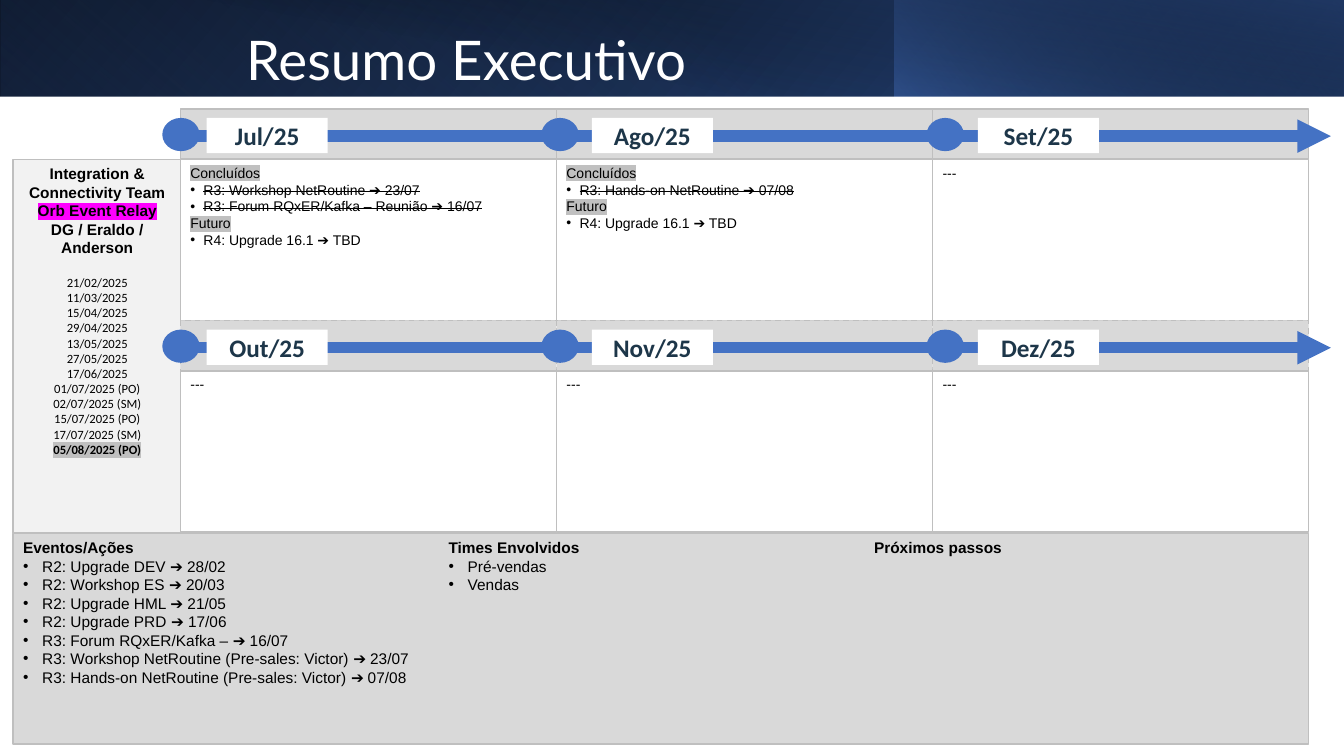
from lxml import etree
from pptx import Presentation
from pptx import util as u
from pptx.dml.color import RGBColor
from pptx.enum import dml, shapes, text
from pptx.oxml.ns import qn

BLACK = RGBColor(0x00, 0x00, 0x00)
WHITE = RGBColor(0xFF, 0xFF, 0xFF)
BLUE = RGBColor(0x44, 0x72, 0xC4)
MID_BLUE = RGBColor(0x2F, 0x55, 0x97)
NAVY = RGBColor(0x20, 0x38, 0x64)
MONTH_INK = RGBColor(0x1D, 0x36, 0x49)
PANEL = RGBColor(0xD9, 0xD9, 0xD9)
SIDEBAR = RGBColor(0xF2, 0xF2, 0xF2)
BORDER = RGBColor(0xBF, 0xBF, 0xBF)
SILVER = RGBColor(0xC0, 0xC0, 0xC0)
MAGENTA = RGBColor(0xFF, 0x00, 0xFF)

RECTANGLE = shapes.MSO_SHAPE.RECTANGLE
OVAL = shapes.MSO_SHAPE.OVAL
CENTER = text.PP_ALIGN.CENTER
JUSTIFY = text.PP_ALIGN.JUSTIFY

HEADER_BANDS = [
    ((0, 0, 13.33, 1.74), 140, 0, True, [(0, BLACK, 100), (100, MID_BLUE, 100)]),
    ((0, 0, 8.88, 1.74), 230, 180, True, [(20, BLUE, 0), (100, NAVY, 55)]),
    ((8.87, 0, 4.46, 1.74), 220, 0, True, [(0, BLUE, 66), (100, BLACK, 30)]),
    ((0.5, 0, 12.83, 1.75), 280, 0, False, [(50, BLACK, 0), (99, NAVY, 52)]),
]
TEAM = [
    ("Integration &", None),
    ("Connectivity Team", None),
    ("Orb Event Relay", MAGENTA),
    ("DG / Eraldo / Anderson", None),
]
MEETINGS = [
    "21/02/2025", "11/03/2025", "15/04/2025", "29/04/2025", "13/05/2025", "27/05/2025",
    "17/06/2025", "01/07/2025 (PO)", "02/07/2025 (SM)", "15/07/2025 (PO)",
    "17/07/2025 (SM)", "05/08/2025 (PO)",
]
UPGRADE = "R4: Upgrade 16.1 ➔ TBD"
QUARTERS = [
    [
        ("Jul/25", ["R3: Workshop NetRoutine ➔ 23/07",
                    "R3: Forum RQxER/Kafka – Reunião ➔ 16/07"], [UPGRADE]),
        ("Ago/25", ["R3: Hands-on NetRoutine ➔ 07/08"], [UPGRADE]),
        ("Set/25", [], []),
    ],
    [("Out/25", [], []), ("Nov/25", [], []), ("Dez/25", [], [])],
]
SUMMARY = [
    ("Eventos/Ações", [
        "R2: Upgrade DEV ➔ 28/02",
        "R2: Workshop ES ➔ 20/03",
        "R2: Upgrade HML ➔ 21/05",
        "R2: Upgrade PRD ➔ 17/06",
        "R3: Forum RQxER/Kafka – ➔ 16/07",
        "R3: Workshop NetRoutine (Pre-sales: Victor) ➔ 23/07",
        "R3: Hands-on NetRoutine (Pre-sales: Victor) ➔ 07/08",
    ]),
    ("Times Envolvidos", ["Pré-vendas", "Vendas"]),
    ("Próximos passos", []),
]
COLUMN_LEFT, COLUMN_WIDTH = 1.79, 3.73
DOT_LEFTS = [1.61, 5.37, 9.19]
LABEL_LEFTS = [2.05, 5.87, 9.7]


class Board:
    """Draws the elements of the roadmap on one slide in a shared style."""

    def __init__(self, presentation):
        self.slide = presentation.slides.add_slide(presentation.slide_layouts[5])

    def shape(self, kind, box, fill=None, line=None, dashed=False):
        shape = self.slide.shapes.add_shape(kind, *map(u.Inches, box))
        shape.shadow.inherit = False
        if fill is not None:
            shape.fill.solid()
            shape.fill.fore_color.rgb = fill
        if line is None:
            shape.line.fill.background()
        else:
            shape.line.color.rgb = line
            shape.line.width = u.Pt(1)
            if dashed:
                shape.line.dash_style = dml.MSO_LINE.DASH
        frame = shape.text_frame
        frame.word_wrap = True
        frame.vertical_anchor = text.MSO_ANCHOR.TOP
        return shape

    def gradient(self, box, angle, rotation, flipped, stops):
        shape = self.shape(RECTANGLE, box)
        shape.rotation = rotation
        properties = shape._element.spPr
        if flipped:
            properties.find(qn("a:xfrm")).set("flipH", "1")
        fill = etree.Element(qn("a:gradFill"), rotWithShape="1")
        stop_list = etree.SubElement(fill, qn("a:gsLst"))
        for position, color, opacity in stops:
            stop = etree.SubElement(stop_list, qn("a:gs"), pos=str(position * 1000))
            tint = etree.SubElement(stop, qn("a:srgbClr"), val=str(color))
            etree.SubElement(tint, qn("a:alpha"), val=str(opacity * 1000))
        etree.SubElement(fill, qn("a:lin"), ang=str(angle * 60000), scaled="0")
        properties.find(qn("a:prstGeom")).addnext(fill)

    def textbox(self, box):
        shape = self.slide.shapes.add_textbox(*map(u.Inches, box))
        shape.text_frame.word_wrap = True
        return shape

    def title(self, words, box):
        shape = self.slide.shapes.title
        shape.left, shape.top, shape.width, shape.height = map(u.Inches, box)
        self.slide.shapes._spTree.append(shape._element)
        frame = shape.text_frame
        frame.auto_size = text.MSO_AUTO_SIZE.NONE
        frame.vertical_anchor = text.MSO_ANCHOR.MIDDLE
        paragraph = self.paragraph(shape, words, 39, text.PP_ALIGN.LEFT, "Lato", WHITE)
        paragraph.line_spacing = 0.8

    def paragraph(self, shape, words, size, align=JUSTIFY, font="Arial", color=BLACK,
                  bold=False, highlight=None, struck=False, indent=0):
        frame = shape.text_frame
        first = frame.paragraphs[0]
        paragraph = frame.add_paragraph() if first.runs else first
        paragraph.alignment = align
        if indent:
            properties = paragraph._p.get_or_add_pPr()
            properties.set("marL", str(u.Inches(indent)))
            properties.set("indent", str(-u.Inches(indent)))
            etree.SubElement(properties, qn("a:buFont"), typeface="Arial")
            etree.SubElement(properties, qn("a:buChar"), char="•")
        run = paragraph.add_run()
        run.text = words
        run.font.size = u.Pt(size)
        run.font.bold = bold
        run.font.color.rgb = color
        properties = run._r.get_or_add_rPr()
        if struck:
            properties.set("strike", "sngStrike")
        if highlight is not None:
            marker = etree.SubElement(properties, qn("a:highlight"))
            etree.SubElement(marker, qn("a:srgbClr"), val=str(highlight))
        run.font.name = font
        return paragraph

    def arrow(self, left, right, y):
        line = self.slide.shapes.add_connector(
            shapes.MSO_CONNECTOR.STRAIGHT,
            u.Inches(left), u.Inches(y), u.Inches(right), u.Inches(y))
        line.line.color.rgb = BLUE
        line.line.width = u.Pt(8)
        etree.SubElement(line.line._get_or_add_ln(), qn("a:tailEnd"), type="triangle")
        etree.SubElement(line._element.spPr, qn("a:effectLst"))

    def month(self, box, done, future):
        cell = self.shape(RECTANGLE, box, WHITE, BORDER)
        for heading, items, struck in (("Concluídos", done, True), ("Futuro", future, False)):
            if items:
                self.paragraph(cell, heading, 10, highlight=SILVER)
            for item in items:
                self.paragraph(cell, item, 10, struck=struck, indent=0.13)
        if not done and not future:
            self.paragraph(cell, "---", 10)

    def quarter(self, top, months, dashed):
        lefts = [COLUMN_LEFT + COLUMN_WIDTH * column for column in range(len(months))]
        for left in lefts:
            self.shape(RECTANGLE, (left, top, COLUMN_WIDTH, 0.5), PANEL, BORDER, dashed)
        for left, (_, done, future) in zip(lefts, months):
            self.month((left, top + 0.5, COLUMN_WIDTH, 1.6), done, future)
        self.arrow(COLUMN_LEFT, 13.2, top + 0.27)
        for dot_left, label_left, (name, _, _) in zip(DOT_LEFTS, LABEL_LEFTS, months):
            self.shape(OVAL, (dot_left, top + 0.09, 0.37, 0.33), BLUE)
            label = self.shape(RECTANGLE, (label_left, top + 0.09, 1.2, 0.35), WHITE)
            label.text_frame.vertical_anchor = text.MSO_ANCHOR.MIDDLE
            self.paragraph(label, name, 18, CENTER, "Calibri", MONTH_INK, bold=True)


def main():
    presentation = Presentation()
    presentation.slide_width = u.Inches(13.33)
    presentation.slide_height = u.Inches(7.5)
    board = Board(presentation)
    for band in HEADER_BANDS:
        board.gradient(*band)

    board.shape(RECTANGLE, (0.13, 5.29, 12.85, 2.09), PANEL, BORDER)
    for column, (heading, items) in enumerate(SUMMARY):
        summary = board.textbox((0.13 + 4.22 * column, 5.29, 4.41, 2.09))
        board.paragraph(summary, heading, 11, bold=True)
        for item in items:
            board.paragraph(summary, item, 11, indent=0.19)

    board.shape(RECTANGLE, (0, 0.96, 13.33, 1.1), WHITE)
    sidebar = board.shape(RECTANGLE, (0.13, 1.58, 1.67, 3.71), SIDEBAR, BORDER)
    for words, highlight in TEAM:
        board.paragraph(sidebar, words, 11, CENTER, bold=True, highlight=highlight)
    for meeting in MEETINGS:
        latest = meeting == MEETINGS[-1]
        paragraph = board.paragraph(sidebar, meeting, 9, CENTER, "Calibri", bold=latest,
                                    highlight=SILVER if latest else None)
        if meeting == MEETINGS[0]:
            paragraph.space_before = u.Pt(13)

    board.title("Resumo Executivo", (2.34, 0.32, 10.37, 0.64))
    for row, months in enumerate(QUARTERS):
        board.quarter(1.08 + 2.1 * row, months, dashed=row == 1)
    presentation.save("out.pptx")


if __name__ == "__main__":
    main()
